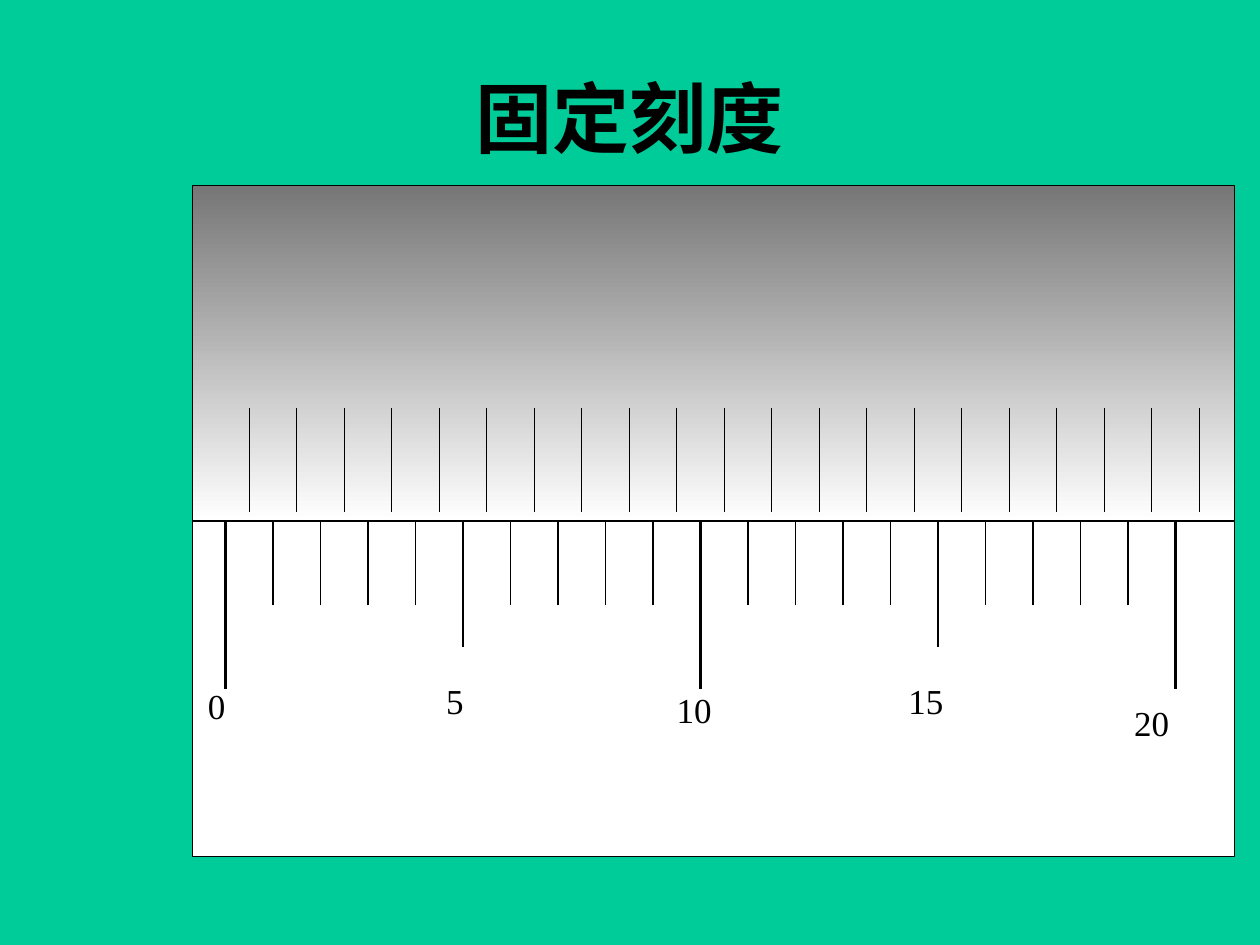
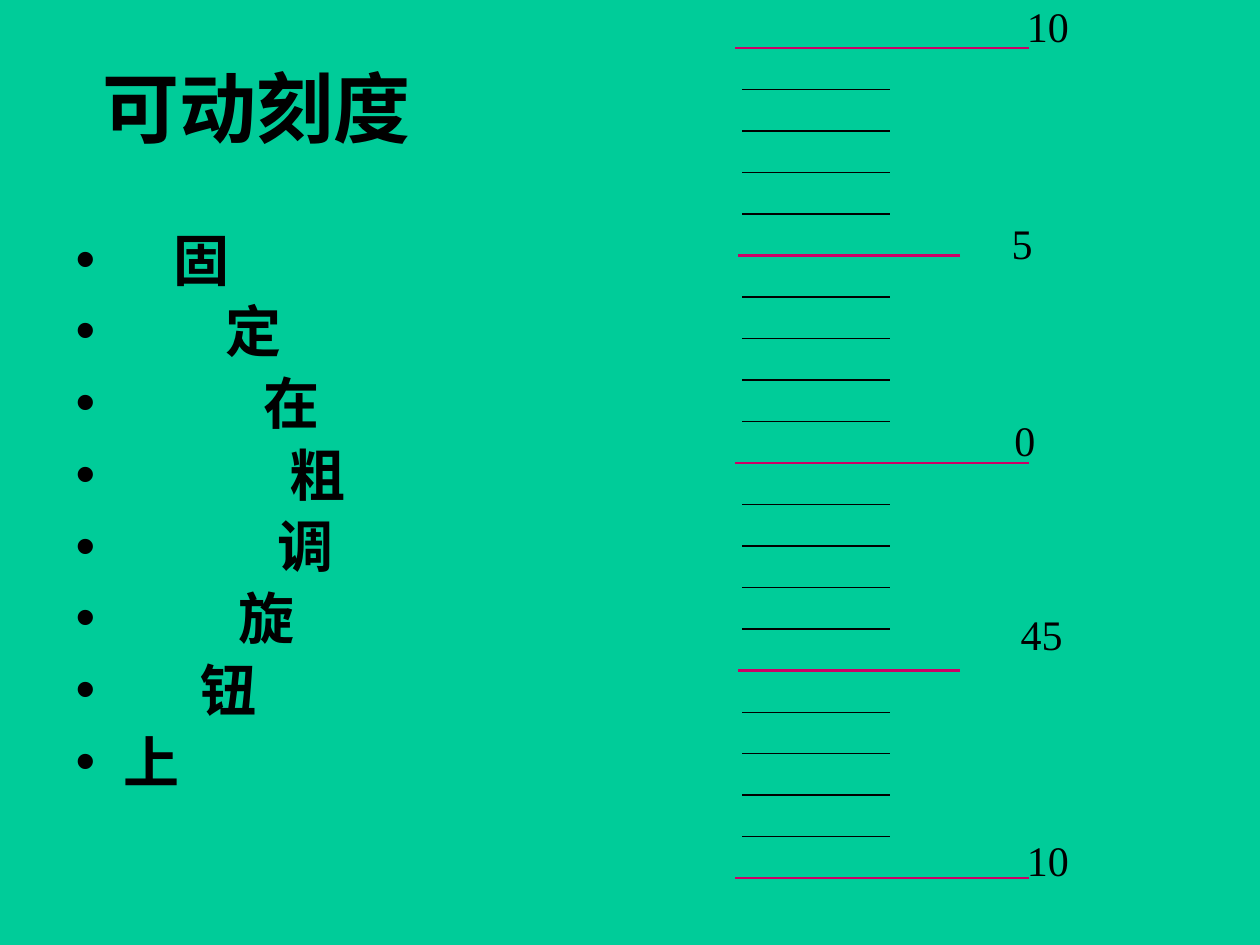
from lxml import etree
from pptx import Presentation
from pptx.dml.color import RGBColor
from pptx.enum.shapes import MSO_CONNECTOR, MSO_SHAPE
from pptx.enum.text import MSO_AUTO_SIZE
from pptx.oxml.ns import qn
from pptx.util import Inches, Pt

STRAIGHT = MSO_CONNECTOR.STRAIGHT
RECTANGLE = MSO_SHAPE.RECTANGLE
NO_FIT = MSO_AUTO_SIZE.NONE

GREEN, BLACK, WHITE = "00CC99", "000000", "FFFFFF"
GRAY, MAGENTA = "767676", "CC0066"
THIN, THICK = 0.75, 1.5


def color(hex_code):
    return RGBColor.from_string(hex_code)


def place(sp, box):
    sp.left, sp.top, sp.width, sp.height = (Inches(v) for v in box)


def style(p, size, font, bold=False):
    p.font.size, p.font.name, p.font.bold = Pt(size), font, bold
    p.font.color.rgb = color(BLACK)


def add_title(slide, text, box):
    title = slide.shapes.title
    place(title, box)
    tf = title.text_frame
    tf.text = text
    tf.auto_size = NO_FIT
    style(tf.paragraphs[0], 44, "Arial", True)


def add_line(slide, x1, y1, x2, y2, hex_code=BLACK, weight=THIN):
    line = slide.shapes.add_connector(
        STRAIGHT, Inches(x1), Inches(y1), Inches(x2), Inches(y2))
    line.line.color.rgb = color(hex_code)
    line.line.width = Pt(weight)
    etree.SubElement(line._element.spPr, qn("a:effectLst"))


def add_labels(slide, labels, width, height, size):
    for text, x, y in labels:
        sp = slide.shapes.add_textbox(
            Inches(x), Inches(y), Inches(width), Inches(height))
        tf = sp.text_frame
        tf.word_wrap = True
        tf.margin_left = tf.margin_top = tf.margin_right = tf.margin_bottom = 0
        tf.text = text
        style(tf.paragraphs[0], size, "Times New Roman")


def add_sleeve(slide, box):
    """Metal sleeve: shaded from gray to white at mid-height."""
    sp = slide.shapes.add_shape(RECTANGLE, *(Inches(v) for v in box))
    sp.shadow.inherit = False
    sp.fill.gradient()
    sp.fill.gradient_angle = 270
    for stop, hex_code, position in zip(
            sp.fill.gradient_stops, (GRAY, WHITE), (0, 0.5)):
        stop.color.rgb = color(hex_code)
        stop.position = position
    sp.line.color.rgb = color(BLACK)
    sp.line.width = Pt(THIN)


def draw_fixed_scale(slide, box):
    """Millimetre ticks below the axis, half-millimetre ticks above it."""
    left, top, width, height = box
    add_sleeve(slide, box)
    axis = top + height / 2
    add_line(slide, left, axis, left + width, axis)

    step = 0.377
    zero = left + 0.26
    for i in range(21):
        x = zero + i * step
        length = 1.33 if i % 10 == 0 else 1 if i % 5 == 0 else 0.67
        add_line(slide, x, axis + length, x, axis,
                 weight=THICK if i % 5 == 0 else THIN)
        x += step / 2
        add_line(slide, x, axis - 0.07, x, axis - 0.9)

    offsets = [("0", 0.12, 1.3), ("5", 2.01, 1.26), ("10", 3.84, 1.33),
               ("15", 5.68, 1.26), ("20", 7.47, 1.43)]
    labels = [(text, left + dx, axis + dy) for text, dx, dy in offsets]
    add_labels(slide, labels, 0.81, 1.29, 20)


def draw_movable_scale(slide, box):
    left, top, width, height = box
    step = height / 20
    for i in range(21):
        y = top + i * step
        if i % 10 == 0:
            inset, length, hex_code, weight = 0, width, MAGENTA, THICK
        elif i % 5 == 0:
            inset, length, hex_code, weight = 0.03, 1.76, MAGENTA, THICK
        else:
            inset, length, hex_code, weight = 0.06, 1.17, BLACK, THIN
        x = left + inset
        add_line(slide, x + length, y, x, y, hex_code, weight)

    offsets = [("10", 2.32, -0.38), ("5", 2.2, 1.35), ("0", 2.22, 2.91),
               ("45", 2.27, 4.45), ("10", 2.32, 6.24)]
    labels = [(text, left + dx, top + dy) for text, dx, dy in offsets]
    add_labels(slide, labels, 0.9, 0.88, 24)


def fill_arc_text(body, box):
    """One bulleted character a line, indented along an arc."""
    place(body, box)
    tf = body.text_frame
    tf.auto_size = NO_FIT
    characters = "固定在粗调旋钮上"
    shifts = [0.4, 0.81, 1.11, 1.32, 1.22, 0.91, 0.61, 0]
    tf.text = "\n".join(characters)
    for p, shift in zip(tf.paragraphs, shifts):
        style(p, 32, "Arial", True)
        p.line_spacing = Pt(41)
        p.space_before = Pt(0)
        indent = Inches(0.38 + shift)
        pPr = p._p.get_or_add_pPr()
        pPr.set("marL", str(indent))
        pPr.set("indent", str(-indent))


def build_fixed_slide(prs):
    slide = prs.slides.add_slide(prs.slide_layouts[5])
    add_title(slide, "固定刻度", (0.5, 0.3, 9, 1.25))
    draw_fixed_scale(slide, (1.53, 1.47, 8.27, 5.33))


def build_movable_slide(prs):
    slide = prs.slides.add_slide(prs.slide_layouts[1])
    add_title(slide, "可动刻度", (0.5, 0.3, 3.07, 1.09))
    fill_arc_text(slide.placeholders[1], (0.5, 1.7, 9, 4.95))
    draw_movable_scale(slide, (5.83, 0.38, 2.34, 6.59))


def main():
    prs = Presentation()
    prs.slide_width, prs.slide_height = Inches(10), Inches(7.5)
    background = prs.slide_master.background.fill
    background.solid()
    background.fore_color.rgb = color(GREEN)
    build_fixed_slide(prs)
    build_movable_slide(prs)
    prs.save("out.pptx")


if __name__ == "__main__":
    main()
